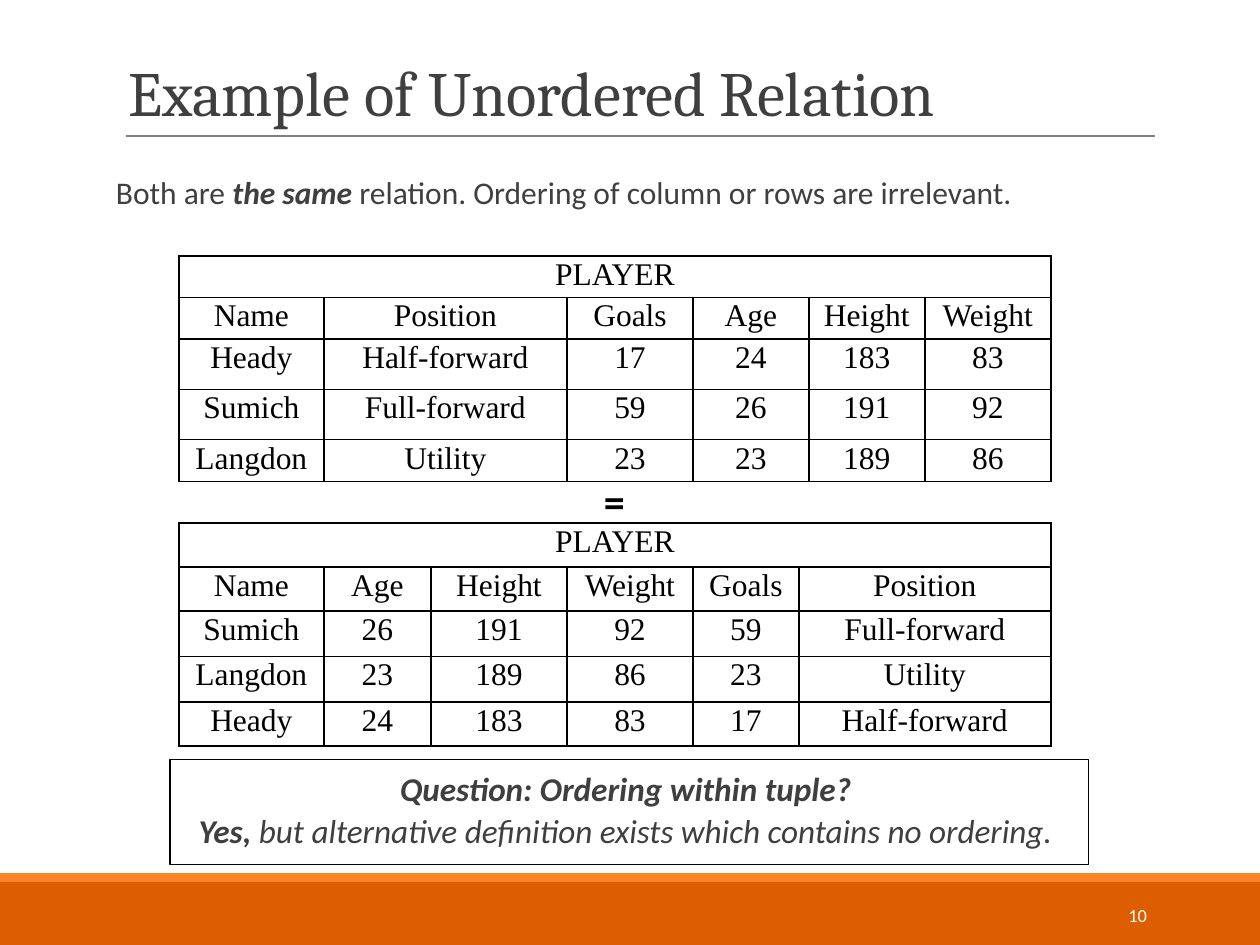
from dataclasses import dataclass

from lxml import etree
from pptx import Presentation
from pptx.dml.color import RGBColor
from pptx.enum.shapes import MSO_CONNECTOR as Connector, MSO_SHAPE as Preset
from pptx.enum.text import MSO_ANCHOR as Anchor, MSO_AUTO_SIZE as AutoSize, PP_ALIGN as Align
from pptx.oxml import parse_xml
from pptx.oxml.ns import nsdecls, qn
from pptx.util import Inches, Pt


@dataclass(frozen=True)
class Theme:
    ink: str = "3F3F3F"
    black: str = "000000"
    white: str = "FFFFFF"
    rule: str = "7F7F7F"
    band: str = "DC5E00"
    band_edge: str = "FF8427"
    heading_font: str = "Cambria"
    body_font: str = "Calibri"
    table_font: str = "Times New Roman"
    title_size: float = 36
    body_size: float = 18
    equals_size: float = 24
    question_size: float = 19
    number_size: float = 10.5
    thin_line: float = 0.75
    cell_line: float = 1


class SlideBuilder:
    def __init__(self, slide, theme):
        self.slide = slide
        self.theme = theme

    def style(self, font, name, size, color, bold=None, italic=None):
        font.name, font.size = name, Pt(size)
        font.color.rgb = RGBColor.from_string(color)
        font.bold, font.italic = bold, italic

    def fill_text(self, frame, paragraphs, size, color, align=Align.LEFT, spacing=None,
                  gap=0, insets=(0.1, 0.05), anchor=Anchor.TOP, bold=None, italic=None):
        frame.word_wrap = True
        frame.auto_size = AutoSize.NONE
        frame.vertical_anchor = anchor
        frame.margin_left = frame.margin_right = Inches(insets[0])
        frame.margin_top = frame.margin_bottom = Inches(insets[1])
        for index, runs in enumerate(paragraphs):
            paragraph = frame.add_paragraph() if index else frame.paragraphs[0]
            paragraph.alignment = align
            paragraph.line_spacing = spacing
            paragraph.space_before = Pt(gap if index else 0)
            self.style(paragraph.font, self.theme.body_font, size, color, bold, italic)
            for text, *emphasis in runs:
                run = paragraph.add_run()
                run.text = text
                if "bold" in emphasis:
                    run.font.bold = True
                if "italic" in emphasis:
                    run.font.italic = True

    def title(self, text, box):
        heading = self.slide.shapes.title
        heading.left, heading.top, heading.width, heading.height = map(Inches, box)
        self.fill_text(heading.text_frame, [[(text,)]], self.theme.title_size,
                       self.theme.ink, spacing=0.85, anchor=Anchor.BOTTOM)
        heading.text_frame.paragraphs[0].font.name = self.theme.heading_font

    def text(self, paragraphs, box, size, color, **layout):
        label = self.slide.shapes.add_textbox(*map(Inches, box))
        self.fill_text(label.text_frame, paragraphs, size, color, **layout)

    def rectangle(self, box, fill=None, line=None):
        panel = self.slide.shapes.add_shape(Preset.RECTANGLE, *map(Inches, box))
        panel.shadow.inherit = False
        if fill:
            panel.fill.solid()
            panel.fill.fore_color.rgb = RGBColor.from_string(fill)
        else:
            panel.fill.background()
        if line:
            panel.line.color.rgb = RGBColor.from_string(line)
            panel.line.width = Pt(self.theme.thin_line)
        else:
            panel.line.fill.background()
        return panel

    def rule(self, left, right, top):
        divider = self.slide.shapes.add_connector(
            Connector.STRAIGHT, Inches(left), Inches(top), Inches(right), Inches(top))
        divider.line.color.rgb = RGBColor.from_string(self.theme.rule)
        divider.line.width = Pt(self.theme.thin_line)
        etree.SubElement(divider.element.find(qn("p:spPr")), qn("a:effectLst"))

    def border(self, cell):
        properties = cell.fill and cell._tc.get_or_add_tcPr()
        for index, side in enumerate(("lnL", "lnR", "lnT", "lnB")):
            properties.insert(index, parse_xml(
                f'<a:{side} {nsdecls("a")} w="{Pt(self.theme.cell_line)}"><a:solidFill>'
                f'<a:srgbClr val="{self.theme.black}"/></a:solidFill></a:{side}>'))

    def relation(self, name, columns, records, left, top, widths, heights):
        rows = [[name] + [""] * (len(columns) - 1), columns]
        rows += [[record[column] for column in columns] for record in records]
        grid = self.slide.shapes.add_table(
            len(rows), len(columns), Inches(left), Inches(top),
            Inches(sum(widths)), Inches(sum(heights))).table
        grid.first_row = grid.horz_banding = False
        for column, width in zip(grid.columns, widths):
            column.width = Inches(width)
        for row, height, values in zip(grid.rows, heights, rows):
            row.height = Inches(height)
            for cell, value in zip(row.cells, values):
                cell.fill.background()
                self.border(cell)
                cell.text = value
                paragraph = cell.text_frame.paragraphs[0]
                paragraph.alignment = Align.CENTER
                paragraph.line_spacing = 0.83
                self.style(paragraph.font, self.theme.table_font,
                           self.theme.body_size, self.theme.black)
        grid.cell(0, 0).merge(grid.cell(0, len(columns) - 1))


def main():
    theme = Theme()
    deck = Presentation()
    deck.slide_width, deck.slide_height = Inches(10), Inches(7.5)
    page = SlideBuilder(deck.slides.add_slide(deck.slide_layouts[5]), theme)

    page.rectangle((0, 7, 10, 0.5), fill=theme.band)
    page.rectangle((0, 6.93, 10, 0.07), fill=theme.band_edge)
    page.rule(1, 9.17, 1.08)
    page.title("Example of Unordered Relation", (0.92, 0.31, 8.25, 0.77))
    page.text([[("Both are ",), ("the same ", "bold", "italic"),
                ("relation. Ordering of column or rows are irrelevant.",)]],
              (0.92, 1.17, 8.25, 0.61), theme.body_size, theme.ink,
              spacing=1.5, insets=(0, 0.05))
    page.text([[("10",)]], (8.12, 7.06, 1.08, 0.4), theme.number_size, theme.white,
              align=Align.RIGHT, anchor=Anchor.MIDDLE)

    columns = ["Name", "Position", "Goals", "Age", "Height", "Weight"]
    heady, sumich, langdon = (dict(zip(columns, values)) for values in (
        ("Heady", "Half-forward", "17", "24", "183", "83"),
        ("Sumich", "Full-forward", "59", "26", "191", "92"),
        ("Langdon", "Utility", "23", "23", "189", "86")))
    reordered = ["Name", "Age", "Height", "Weight", "Goals", "Position"]
    page.relation("PLAYER", columns, [heady, sumich, langdon], 1.42, 2.03,
                  [1.15, 1.93, 1, 0.92, 0.92, 1], [0.33, 0.33, 0.4, 0.4, 0.33])
    page.relation("PLAYER", reordered, [sumich, langdon, heady], 1.42, 4.15,
                  [1.15, 0.85, 1.08, 1, 0.84, 2], [0.35, 0.35, 0.36, 0.36, 0.35])

    page.text([[("=",)]], (4.48, 3.67, 0.79, 0.61), theme.equals_size, theme.black,
              align=Align.CENTER, insets=(0.1, 0.1), bold=True)
    question = page.rectangle((1.35, 6.03, 7.29, 0.83), line=theme.black)
    page.fill_text(question.text_frame,
                   [[("Question: Ordering within tuple? ", "bold")],
                    [("Yes, ", "bold"),
                     ("but alternative definition exists which contains no ordering. ",)]],
                   theme.question_size, theme.ink, align=Align.CENTER, spacing=0.9,
                   gap=4, insets=(0.1, 0.1), italic=True)
    deck.save("out.pptx")


if __name__ == "__main__":
    main()
